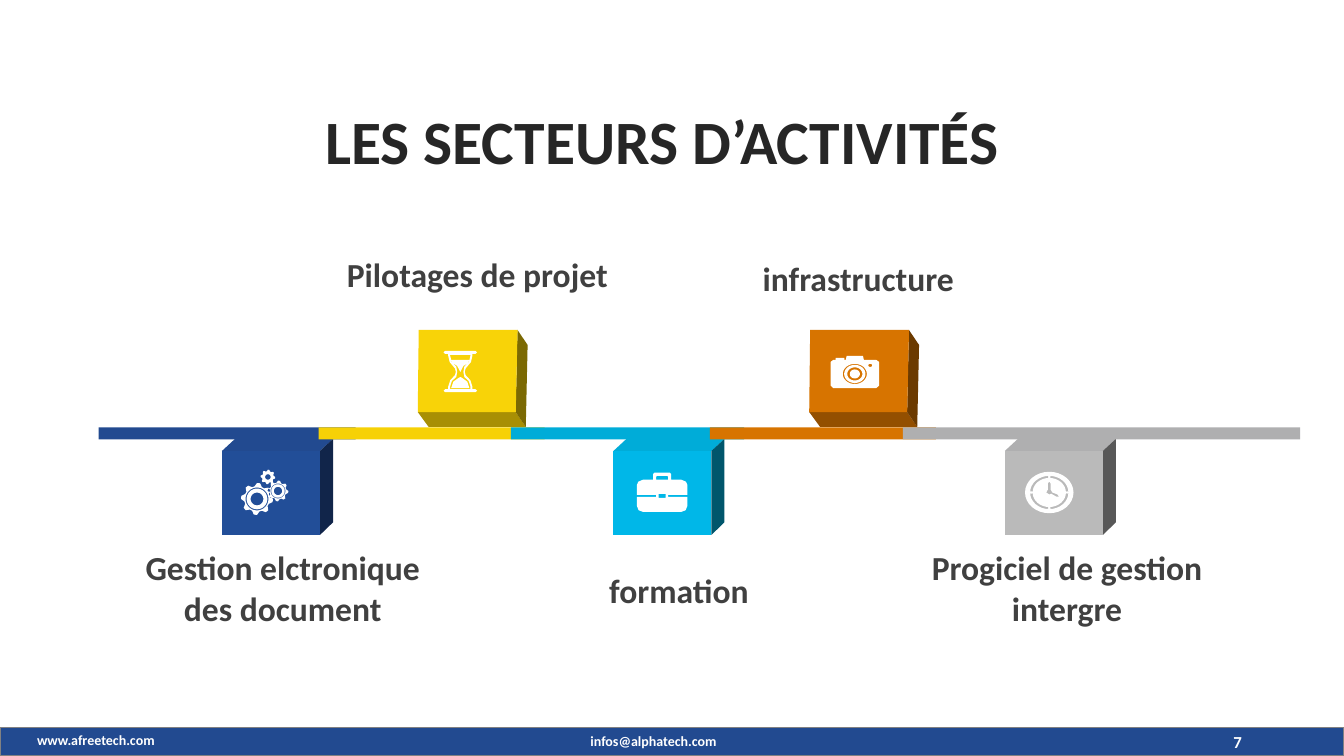
"""Build the slide on the five business sectors, a timeline with cubes."""
from dataclasses import dataclass
from math import cos, pi, sin

from pptx import Presentation
from pptx import util as u
from pptx.dml.color import RGBColor
from pptx.enum import shapes, text


@dataclass
class Theme:
    font: str = "Calibri"
    white: str = "FFFFFF"
    title: str = "262626"
    label: str = "404040"
    footer: str = "224A90"
    footer_line: str = "818182"
    title_size: int = 44
    label_size: int = 24
    page_size: int = 12
    footer_size: int = 10
    bars: tuple = ("224A90", "F6D106", "00ACD8", "D77400", "AFAFB0")
    fronts: tuple = ("224E98", "F8D308", "00B7E8", "D77400", "BABABA")
    sides: tuple = ("11254A", "7B6903", "00566C", "6B3A00", "585858")
    edges: tuple = ("224A90", "A88F04", "00ACD8", "934F00", "AFAFB0")


theme = Theme()
deck = Presentation()
deck.slide_width, deck.slide_height = u.Pt(960), u.Pt(540)
page = deck.slides.add_slide(deck.slide_layouts[6])


def draw_outline(contours, colour, left=0, top=0):
    """Draw closed contours, given in points, as one filled outline."""
    builder = None
    for contour in contours:
        points = [(u.Pt(left + x), u.Pt(top + y)) for x, y in contour]
        if builder is None:
            builder = page.shapes.build_freeform(*points[0], scale=1)
        else:
            builder.move_to(*points[0])
        builder.add_line_segments(points[1:], close=True)
    outline = builder.convert_to_shape()
    outline.shadow.inherit = False
    outline.fill.solid()
    outline.fill.fore_color.rgb = RGBColor.from_string(colour)
    outline.line.fill.background()


def polar(x, y, rx, ry, notch=1):
    """Return an ellipse, or a wheel with eight teeth if notch is below 1."""
    factors = [1 if k % 4 < 2 else notch for k in range(32)]
    return [(x + rx * f * cos(k * pi / 16), y + ry * f * sin(k * pi / 16))
            for k, f in enumerate(factors)]


lower_faces = (
    [(0, 0), (9.3, -8.6), (79.3, -8.6), (70, 0)],
    [(70, 0), (79.3, -8.6), (79.3, 51), (70, 60)],
    [(0, 0), (70, 0), (70, 60), (0, 60)],
)
upper_faces = (
    [(0, 58.6), (70, 58.6), (77.2, 69.3), (7.8, 69.3)],
    [(71.3, 0), (78.5, 10.7), (77.2, 69.3), (70, 58.6)],
    [(0.7, 0), (71.3, 0), (70, 58.6), (0, 58.6)],
)
for i, shades in enumerate(zip(theme.edges, theme.sides, theme.fronts)):
    faces, top = (upper_faces, 235.7) if i % 2 else (lower_faces, 322.1)
    for face, shade in zip(faces, shades):
        draw_outline([face], shade, 158.6 + 139.8 * i, top)

gears = []
for x, y, radius, rings in (
    (183.6, 356.4, 11.4, (0.72, 0.65, 0.4)),
    (198.6, 350.7, 7.4, (0.72, 0.65, 0.4)),
    (191.4, 340.7, 5.2, (0.38,)),
):
    gears.append(polar(x, y, radius, radius, 0.8))
    gears += [polar(x, y, radius * ring, radius * ring) for ring in rings]
draw_outline(gears, theme.white)

hourglass = (
    [(10.8, 0), (12, 1.1), (10.8, 2.2), (8.6, 2.2), (8.6, 3.6), (7.6, 8),
     (3.8, 12.6), (3.2, 15), (3.8, 17.3), (7.2, 21), (8.6, 25.5),
     (8.6, 27.4), (10.8, 27.4), (12, 28.5), (10.8, 29.5)],
    [(7.2, 2.9), (7.2, 3.6), (6.2, 8), (2.9, 11.2), (2.2, 15), (2.9, 18.7),
     (6, 21.5), (7.2, 25.2), (7.2, 27.4)],
    [(6.5, 6.5), (5.5, 8.6), (2.2, 10.8), (0, 15.1)],
    [(0, 18.7), (1.4, 19.4), (5, 22), (6.5, 26.6)],
)
briefcase = (
    [(5.5, 0), (6.5, 1), (6.5, 5), (13.7, 5), (17, 6.4), (18, 8.6),
     (18, 15.8), (4.3, 15.8), (4.3, 17.3), (18, 17.3), (18, 23.8),
     (16.8, 26.8), (13.7, 28)],
    [(3.6, 2.2), (4.3, 2.9), (4.3, 5)],
    [(2.5, 15.1), (2.5, 18)],
)
camera = (
    [(5.8, 0), (6.5, 2.9), (15.4, 2.9), (17.3, 4.3), (17.3, 21.2),
     (15.4, 23)],
)
lens_radii = ((8.6, 7.2), (7.6, 6.5), (5.4, 4.7), (3.6, 3.2))
camera_details = [polar(0, 12.9, rx, ry) for rx, ry in lens_radii]
camera_details += [
    polar(11, 6.8, 1.4, 1.1),
    [(-13.7, 1.4), (-7.5, 1.4), (-7.5, 2.9), (-13.7, 2.9)],
]
for halves, details, axis, top in (
    (hourglass, [], 328.8, 250.6),
    (briefcase, [], 473, 337.7),
    (camera, camera_details, 610.6, 254.2),
):
    whole = [half + [(-x, y) for x, y in reversed(half)] for half in halves]
    draw_outline(whole + details, theme.white, axis, top)

hands = [(0, -7.9), (0.9, -6.5), (0.9, -2.2), (2.2, 0), (5.8, 1.4), (7, 3),
         (5, 2.9), (1.4, 0.9), (0, 1.4), (-2.2, 0), (-0.9, -2.2),
         (-0.9, -6.5)]
clock = [polar(0, 0, rx, ry) for rx, ry in
         ((17.3, 14.8), (13.7, 11.9), (11.9, 10.4))]
clock += [polar(x, y, 0.9, 0.8) for x, y in
          ((0, -11.1), (12.8, 0), (0, 11.1), (-12.8, 0))]
draw_outline(clock + [hands], theme.white, 749.5, 351.8)

bar_spans = ((70.5, 183.5), (227.5, 161.5), (365, 166.5), (507, 161.5),
             (645, 283.7))
strips = [(left, 305.2, width, 8.6, colour, None)
          for (left, width), colour in zip(bar_spans, theme.bars)]
strips.append((0, 519.8, 960, 20.2, theme.footer, theme.footer_line))
for left, top, width, height, colour, border in strips:
    strip = page.shapes.add_shape(
        shapes.MSO_SHAPE.RECTANGLE,
        u.Pt(left), u.Pt(top), u.Pt(width), u.Pt(height))
    strip.shadow.inherit = False
    strip.fill.solid()
    strip.fill.fore_color.rgb = RGBColor.from_string(colour)
    if border:
        strip.line.color.rgb = RGBColor.from_string(border)
        strip.line.width = u.Pt(1)
    else:
        strip.line.fill.background()

align, anchor = text.PP_ALIGN, text.MSO_ANCHOR
label_style = (theme.label_size, theme.label, align.CENTER, anchor.TOP)
footer_style = (theme.footer_size, theme.white, align.LEFT, anchor.TOP)
title_style = (theme.title_size, theme.title, align.CENTER, anchor.MIDDLE)
page_style = (theme.page_size, theme.white, align.RIGHT, anchor.MIDDLE)
for words, left, top, width, height, style in (
    ("LES SECTEURS D’ACTIVITÉS", 17.3, 74.9, 911.5, 56.9, title_style),
    ("Gestion elctronique des document", 93.6, 387.4, 216.7, 65.5,
     label_style),
    ("Pilotages de projet", 232.6, 177.8, 216.7, 36, label_style),
    ("formation", 376.6, 403.2, 216.7, 36, label_style),
    ("infrastructure", 504.7, 180.7, 216.7, 36, label_style),
    ("Progiciel de gestion intergre", 653.8, 387.4, 216.7, 65.5, label_style),
    ("www.afreetech.com", 19.4, 519.1, 129.6, 19.4, footer_style),
    ("infos@alphatech.com", 414.7, 519.8, 129.6, 19.4, footer_style),
    ("7", 678.2, 519.1, 216, 20.9, page_style),
):
    size, colour, alignment, vertical = style
    box = page.shapes.add_textbox(
        u.Pt(left), u.Pt(top), u.Pt(width), u.Pt(height))
    box.text_frame.word_wrap = True
    box.text_frame.vertical_anchor = vertical
    para = box.text_frame.paragraphs[0]
    para.text = words
    para.alignment = alignment
    if style is title_style:
        para.line_spacing = 0.9
    para.font.name = theme.font
    para.font.size = u.Pt(size)
    para.font.bold = True
    para.font.color.rgb = RGBColor.from_string(colour)

deck.save("out.pptx")
